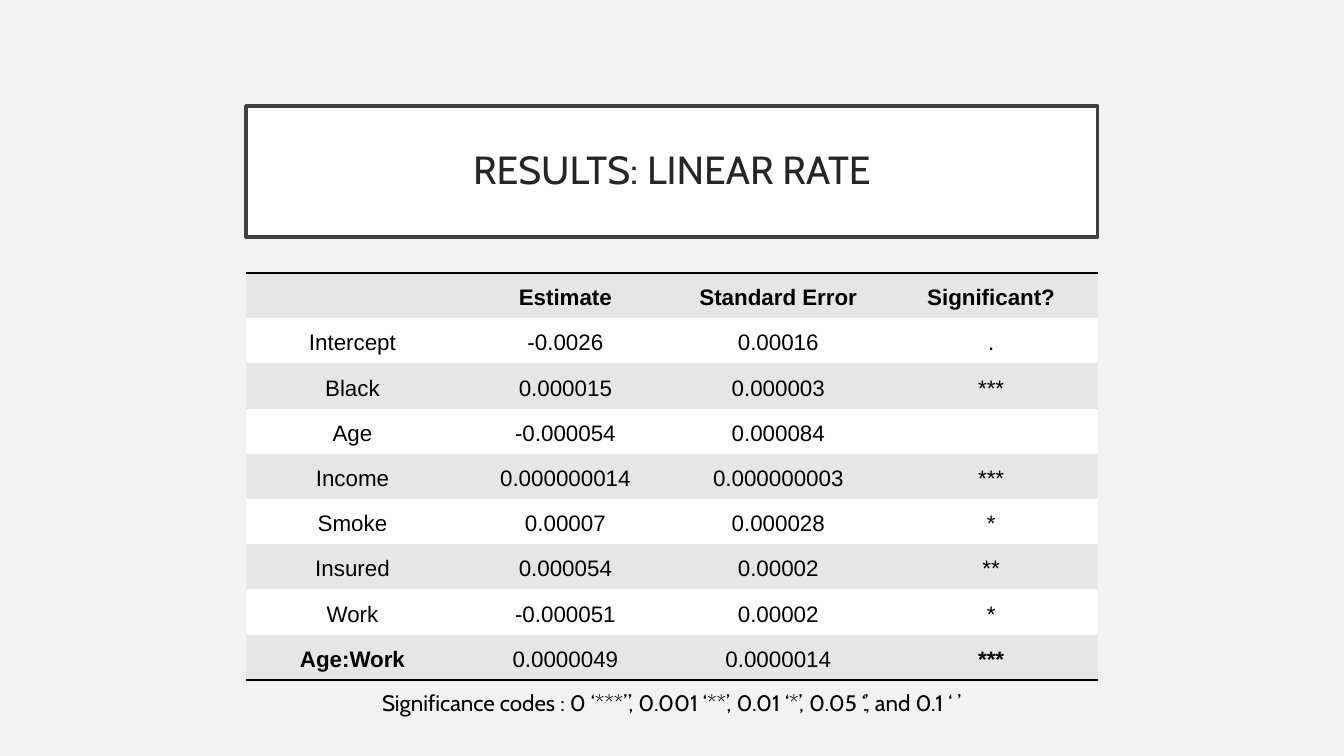
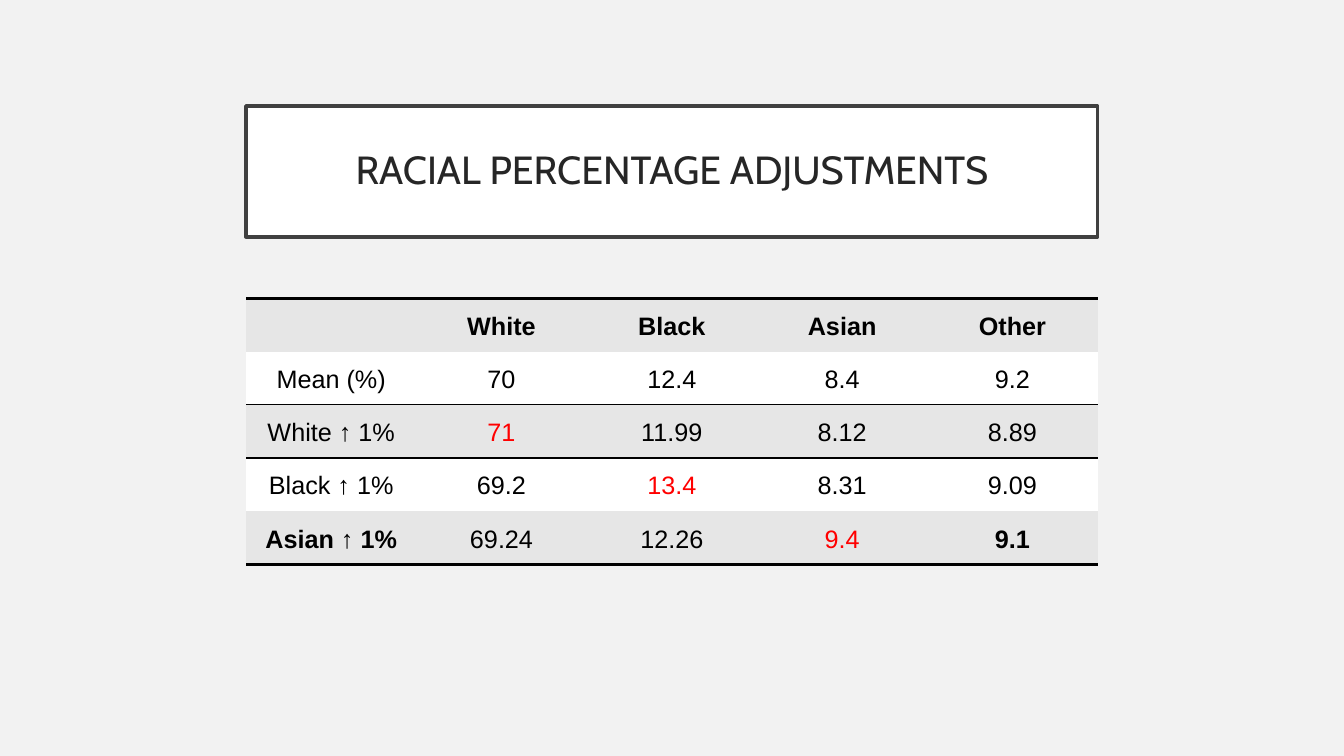
"""Build two result-table slides that share one title and table style."""
from lxml import etree
from pptx import Presentation
from pptx import util as u
from pptx.dml.color import RGBColor
from pptx.enum import shapes, text
from pptx.oxml.ns import qn

COLOURS = {
    "background": "F2F2F2",
    "panel": "FFFFFF",
    "band": "E6E6E6",
    "frame": "404040",
    "title": "262626",
    "ink": "000000",
    "highlight": "FF0000",
}
LEFT, WIDTH = 6.2, 21.46


def colour(name):
    return RGBColor.from_string(COLOURS[name])


def write(frame, content, *, font="Cabin", size=16, ink="ink", bold=False, spacing=None):
    paragraph = frame.paragraphs[0]
    paragraph.alignment = text.PP_ALIGN.CENTER
    paragraph.line_spacing = spacing
    run = paragraph.add_run()
    run.text = content
    run.font.name = font
    run.font.size = u.Pt(size)
    run.font.bold = bold
    run.font.color.rgb = colour(ink)


def set_border(cell, side, points):
    properties = cell._tc.get_or_add_tcPr()
    line = etree.SubElement(properties, qn(f"a:ln{side}"), w=str(u.Pt(points)))
    if points:
        fill = etree.SubElement(line, qn("a:solidFill"))
        etree.SubElement(fill, qn("a:srgbClr"), val=COLOURS["ink"])
    else:
        etree.SubElement(line, qn("a:noFill"))


class Deck:
    def __init__(self):
        self.presentation = Presentation()
        self.presentation.slide_width = u.Cm(33.87)
        self.presentation.slide_height = u.Cm(19.05)
        self.slide = None

    def new_slide(self, title):
        self.slide = self.presentation.slides.add_slide(self.presentation.slide_layouts[6])
        background = self.slide.background.fill
        background.solid()
        background.fore_color.rgb = colour("background")
        self.title(title)

    def title(self, content):
        shape = self.slide.shapes.add_shape(
            shapes.MSO_SHAPE.RECTANGLE, u.Cm(LEFT), u.Cm(2.67), u.Cm(WIDTH), u.Cm(3.3))
        shape.shadow.inherit = False
        shape.fill.solid()
        shape.fill.fore_color.rgb = colour("panel")
        shape.line.color.rgb = colour("frame")
        shape.line.width = u.Pt(2.5)
        frame = shape.text_frame
        frame.word_wrap = True
        frame.vertical_anchor = text.MSO_ANCHOR.MIDDLE
        frame.margin_left = frame.margin_right = u.Cm(0.5)
        frame.margin_top = frame.margin_bottom = u.Cm(0.5)
        write(frame, content, size=28, ink="title", spacing=0.9)

    def table(self, rows, *, top, row_height, size, rules, bold=(), highlights=()):
        columns = len(rows[0])
        table = self.slide.shapes.add_table(
            len(rows), columns, u.Cm(LEFT), u.Cm(top),
            u.Cm(WIDTH), u.Cm(row_height * len(rows))).table
        table.first_row = table.horz_banding = False
        for column in table.columns:
            column.width = u.Cm(WIDTH / columns)
        for r, values in enumerate(rows):
            table.rows[r].height = u.Cm(row_height)
            borders = {"L": 0, "R": 0, "T": rules.get(r, 0), "B": rules.get(r + 1, 0)}
            for c, value in enumerate(values):
                cell = table.cell(r, c)
                for side, points in borders.items():
                    set_border(cell, side, points)
                cell.fill.solid()
                cell.fill.fore_color.rgb = colour("panel" if r % 2 else "band")
                cell.margin_left = cell.margin_right = u.Cm(0.17)
                cell.margin_top = cell.margin_bottom = 0
                if value:
                    write(cell.text_frame, value, font="Arial", size=size, spacing=1.5,
                          bold=r == 0 or (r, c) in bold,
                          ink="highlight" if (r, c) in highlights else "ink")

    def note(self, content, *, left, top, width, height):
        box = self.slide.shapes.add_textbox(u.Cm(left), u.Cm(top), u.Cm(width), u.Cm(height))
        box.text_frame.word_wrap = True
        write(box.text_frame, content)


ESTIMATES = [
    ("", "Estimate", "Standard Error", "Significant?"),
    ("Intercept", "-0.0026", "0.00016", "."),
    ("Black", "0.000015", "0.000003", "***"),
    ("Age", "-0.000054", "0.000084", ""),
    ("Income", "0.000000014", "0.000000003", "***"),
    ("Smoke", "0.00007", "0.000028", "*"),
    ("Insured", "0.000054", "0.00002", "**"),
    ("Work", "-0.000051", "0.00002", "*"),
    ("Age:Work", "0.0000049", "0.0000014", "***"),
]
ADJUSTMENTS = [
    ("", "White", "Black", "Asian", "Other"),
    ("Mean (%)", "70", "12.4", "8.4", "9.2"),
    ("White ↑ 1%", "71", "11.99", "8.12", "8.89"),
    ("Black ↑ 1%", "69.2", "13.4", "8.31", "9.09"),
    ("Asian ↑ 1%", "69.24", "12.26", "9.4", "9.1"),
]


def main():
    deck = Deck()

    deck.new_slide("RESULTS: LINEAR RATE")
    deck.table(ESTIMATES, top=6.88, row_height=1.14, size=16,
               rules={0: 2, 9: 2}, bold={(8, 0), (8, 3)})
    deck.note("Significance codes : 0 ‘***”, 0.001 ‘**’, 0.01 ‘*’, 0.05 ‘.’, and 0.1 ‘ ’",
              left=8.5, top=17.25, width=16.87, height=0.94)

    deck.new_slide("RACIAL PERCENTAGE ADJUSTMENTS")
    deck.table(ADJUSTMENTS, top=7.52, row_height=1.34, size=18,
               rules={0: 2, 2: 1, 3: 1, 5: 2}, bold={(4, 0), (4, 4)},
               highlights={(row, row - 1) for row in range(2, 5)})

    deck.presentation.save("out.pptx")


if __name__ == "__main__":
    main()
